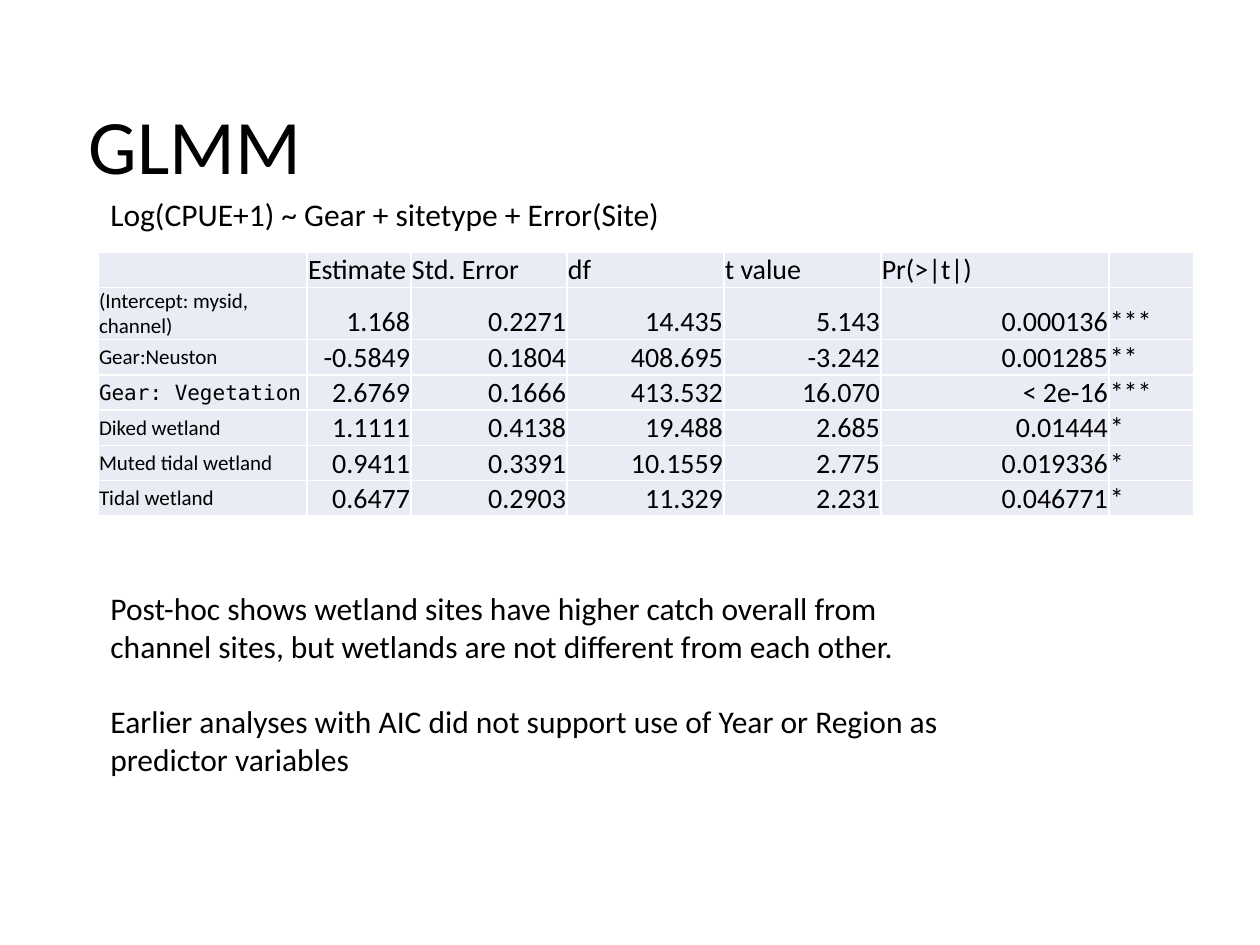
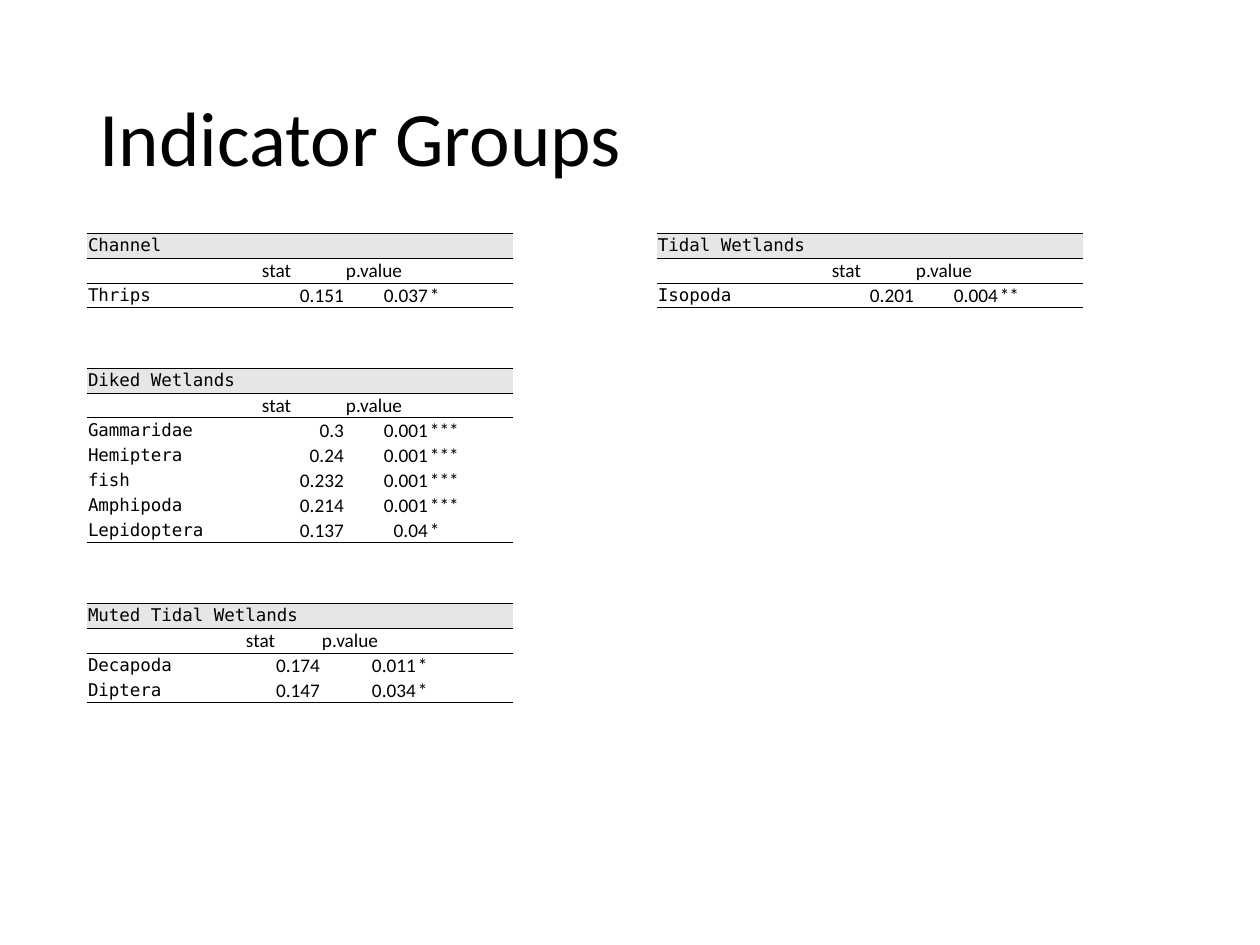
from lxml.etree import SubElement
from pptx import Presentation
from pptx.dml.color import RGBColor
from pptx.enum.text import MSO_ANCHOR as Anchor, MSO_AUTO_SIZE as AutoSize, PP_ALIGN as Align
from pptx.oxml.ns import qn
from pptx.util import Emu, Pt

# Shared look
SANS, MONO = "Calibri", "DejaVu Sans Mono"
BLACK, WHITE, PALE_BLUE, GREY = "000000", "FFFFFF", "E9EBF5", "E7E6E6"
PLAIN_TABLE_STYLE = "{2D5ABB26-0587-4C30-8999-92F81FD0307C}"
TITLE_SIZE = (1086, 183)

# Slide 1 content
FORMULA = "Log(CPUE+1) ~ Gear + sitetype + Error(Site)"
MODEL_COLUMNS = [209, 104, 156, 157, 157, 228, 85]
MODEL_ROWS = [
    ("", "Estimate", "Std. Error", "df", "t value", "Pr(>|t|)", ""),
    ("(Intercept: mysid, channel)", "1.168", "0.2271", "14.435", "5.143", "0.000136", "***"),
    ("Gear:Neuston", "-0.5849", "0.1804", "408.695", "-3.242", "0.001285", "**"),
    ("Gear: Vegetation", "2.6769", "0.1666", "413.532", "16.070", "< 2e-16", "***"),
    ("Diked wetland", "1.1111", "0.4138", "19.488", "2.685", "0.01444", "*"),
    ("Muted tidal wetland", "0.9411", "0.3391", "10.1559", "2.775", "0.019336", "*"),
    ("Tidal wetland", "0.6477", "0.2903", "11.329", "2.231", "0.046771", "*"),
]
MONO_LABEL = "Gear: Vegetation"
FINDINGS = [
    "Post-hoc shows wetland sites have higher catch overall from channel sites, "
    "but wetlands are not different from each other.",
    "Earlier analyses with AIC did not support use of Year or Region as predictor variables",
]

# Slide 2 content: one list of habitats for each side of the slide
EVEN_COLUMNS, MUTED_COLUMNS = [174, 84, 84, 84], [158, 76, 96, 96]
INDICATOR_HEADER = ("", "stat", "p.value", "")
INDICATOR_TOP, INDICATOR_ROW, INDICATOR_GAP = 233, 25, 60
INDICATORS = {
    87: [
        ("Channel", EVEN_COLUMNS, [("Thrips", "0.151", "0.037", "*")]),
        ("Diked Wetlands", EVEN_COLUMNS, [
            ("Gammaridae", "0.3", "0.001", "***"),
            ("Hemiptera", "0.24", "0.001", "***"),
            ("fish", "0.232", "0.001", "***"),
            ("Amphipoda", "0.214", "0.001", "***"),
            ("Lepidoptera", "0.137", "0.04", "*"),
        ]),
        ("Muted Tidal Wetlands", MUTED_COLUMNS, [
            ("Decapoda", "0.174", "0.011", "*"),
            ("Diptera", "0.147", "0.034", "*"),
        ]),
    ],
    657: [("Tidal Wetlands", EVEN_COLUMNS, [("Isopoda", "0.201", "0.004", "**")])],
}


def px(length):
    return Emu(round(length * 914400 / 126))


def color(hex_string):
    return RGBColor.from_string(hex_string)


def set_font(paragraph, size, name=SANS):
    paragraph.font.size = Pt(size)
    paragraph.font.name = name
    paragraph.font.color.rgb = color(BLACK)


def add_titled_slide(presentation, text, left, top):
    slide = presentation.slides.add_slide(presentation.slide_layouts[5])
    title = slide.shapes.title
    title.left, title.top = px(left), px(top)
    title.width, title.height = map(px, TITLE_SIZE)
    frame = title.text_frame
    frame.text = text
    frame.auto_size = AutoSize.NONE
    frame.vertical_anchor = Anchor.MIDDLE
    paragraph = frame.paragraphs[0]
    paragraph.alignment = Align.LEFT
    paragraph.line_spacing = 0.9
    set_font(paragraph, 44)
    return slide


def add_text(slide, box, texts, wrap):
    frame = slide.shapes.add_textbox(*map(px, box)).text_frame
    frame.word_wrap = wrap
    frame.auto_size = AutoSize.SHAPE_TO_FIT_TEXT
    for index, text in enumerate(texts):
        paragraph = frame.paragraphs[0] if index == 0 else frame.add_paragraph()
        paragraph.text = text
        set_font(paragraph, 18)
        if index:
            paragraph.space_before = Pt(21.5)


def set_borders(cell, sides, hex_string, points):
    properties = cell._tc.get_or_add_tcPr()
    for side in "LRTB":
        if side in sides:
            line = SubElement(properties, qn(f"a:ln{side}"), w=str(Pt(points)))
            fill = SubElement(line, qn("a:solidFill"))
            SubElement(fill, qn("a:srgbClr"), val=hex_string)
        else:
            line = SubElement(properties, qn(f"a:ln{side}"), w="0")
            SubElement(line, qn("a:noFill"))


def write_cell(cell, text, size, name, align, anchor):
    cell.margin_left = cell.margin_top = cell.margin_right = px(1)
    cell.margin_bottom = 0
    cell.vertical_anchor = anchor
    paragraph = cell.text_frame.paragraphs[0]
    paragraph.text = text
    paragraph.alignment = align
    set_font(paragraph, size, name)
    if not text:  # keeps an empty cell from stretching its row
        SubElement(paragraph._p, qn("a:endParaRPr"), sz=str(size * 100))


def add_table(slide, left, top, columns, row_height, rows, header_count, sizes, label_font, look):
    """label_font gives a label's font; look gives a row's fill and borders."""
    shape = slide.shapes.add_table(
        len(rows), len(columns), px(left), px(top), px(sum(columns)), px(row_height * len(rows)))
    table = shape.table
    table.first_row = table.horz_banding = False
    table._tbl.tblPr.find(qn("a:tableStyleId")).text = PLAIN_TABLE_STYLE
    for column, width in zip(table.columns, columns):
        column.width = px(width)
    label_size, value_size = sizes
    for row_index, values in enumerate(rows):
        table.rows[row_index].height = px(row_height)
        fill, borders = look(row_index)
        for column_index, text in enumerate(values):
            cell = table.cell(row_index, column_index)
            is_value = row_index >= header_count and 0 < column_index < len(columns) - 1
            align = Align.RIGHT if is_value else Align.LEFT
            if column_index == 0:
                write_cell(cell, text, label_size, label_font(text), align, Anchor.MIDDLE)
            else:
                write_cell(cell, text, value_size, SANS, align, Anchor.BOTTOM)
            set_borders(cell, *borders)
            if fill:
                cell.fill.solid()
                cell.fill.fore_color.rgb = color(fill)
            else:
                cell.fill.background()
    return table


def build_model_slide(presentation):
    slide = add_titled_slide(presentation, "GLMM", 76, 58)
    add_table(
        slide, 98, 252, MODEL_COLUMNS, 26, MODEL_ROWS, 1, (12, 16),
        lambda label: MONO if label == MONO_LABEL else SANS,
        lambda row_index: (PALE_BLUE, ("LRTB", WHITE, 1)))
    add_text(slide, (98, 189, 581, 50), [FORMULA], wrap=False)
    add_text(slide, (98, 583, 886, 204), FINDINGS, wrap=True)


def add_indicator_table(slide, left, top, habitat, columns, species):
    rows = [(habitat, "", "", ""), INDICATOR_HEADER, *species]

    def look(row_index):
        sides = "TB" if row_index < 2 else ""
        if row_index == 2:
            sides += "T"
        if row_index == len(rows) - 1:
            sides += "B"
        return GREY if row_index == 0 else None, (sides, BLACK, 0.5)

    table = add_table(slide, left, top, columns, INDICATOR_ROW, rows, 2, (10, 11),
                      lambda label: MONO, look)
    if columns is MUTED_COLUMNS:  # the long name needs two columns
        table.cell(0, 0).merge(table.cell(0, 1))
    return INDICATOR_ROW * len(rows)


def build_indicator_slide(presentation):
    slide = add_titled_slide(presentation, "Indicator Groups", 87, 50)
    for left, habitats in INDICATORS.items():
        top = INDICATOR_TOP
        for habitat in habitats:
            top += add_indicator_table(slide, left, top, *habitat) + INDICATOR_GAP


def main():
    presentation = Presentation()
    presentation.slide_width, presentation.slide_height = px(1260), px(945)
    build_model_slide(presentation)
    build_indicator_slide(presentation)
    presentation.save("out.pptx")


if __name__ == "__main__":
    main()
